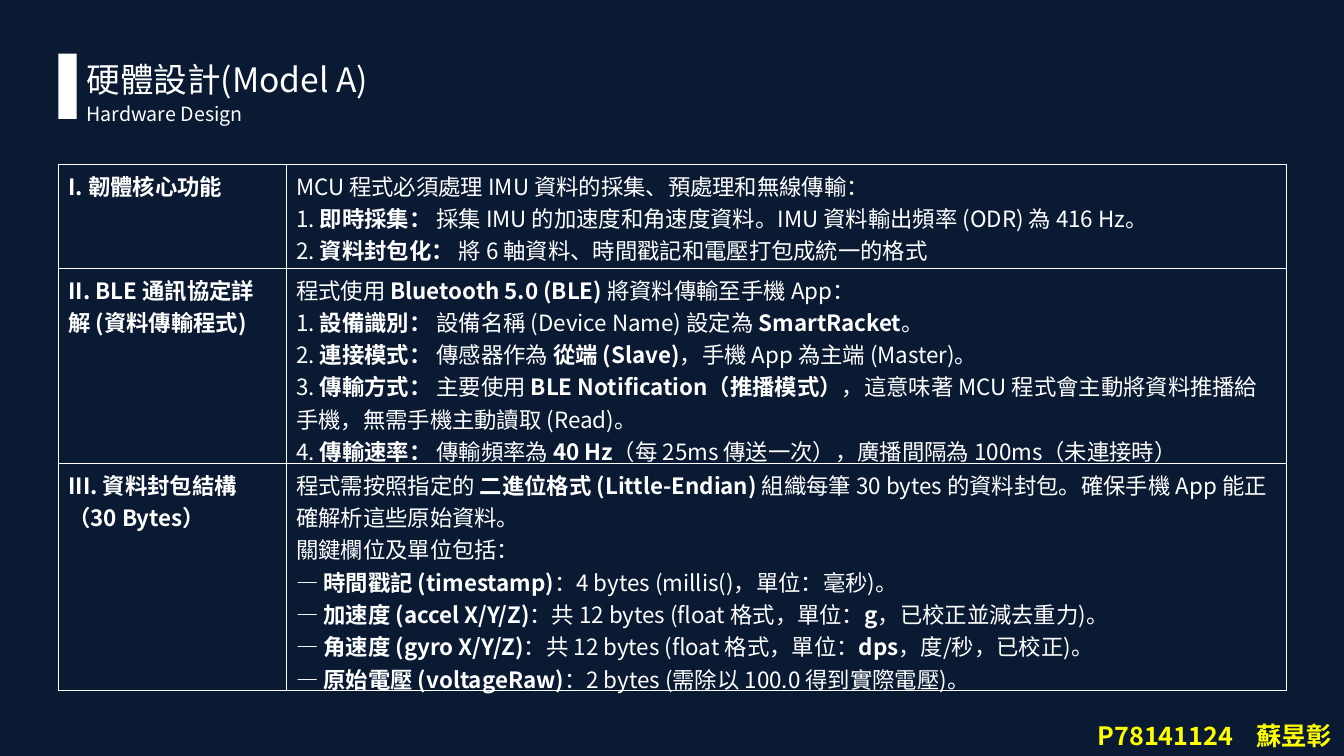
from dataclasses import dataclass

from lxml import etree
from pptx import Presentation
from pptx.dml.color import RGBColor
from pptx.enum.shapes import MSO_SHAPE
from pptx.enum.text import PP_ALIGN
from pptx.oxml.ns import qn
from pptx.util import Cm, Pt

RECT = MSO_SHAPE.RECTANGLE
LEFT, JUSTIFY = PP_ALIGN.LEFT, PP_ALIGN.JUSTIFY


@dataclass(frozen=True)
class Theme:
    back: str = "0A1A33"
    ink: str = "FFFFFF"
    mark: str = "FFFF00"
    font: str = "Noto Sans CJK SC"
    sign: str = "Noto Sans CJK TC"
    title: int = 24
    sub: int = 14
    body: int = 16
    foot: int = 18
    rule: int = 1


THEME = Theme()

# Asterisks enclose bold words.
ROWS = [
    (2.62, ["*I. 韌體核心功能*"], [
        "MCU 程式必須處理 IMU 資料的採集、預處理和無線傳輸：",
        "1. *即時採集：* 採集 IMU 的加速度和角速度資料。IMU 資料輸出頻率 (ODR) 為 416 Hz。",
        "2. *資料封包化：* 將 6 軸資料、時間戳記和電壓打包成統一的格式",
    ]),
    (4.92, ["*II. BLE 通訊協定詳解 (資料傳輸程式)*"], [
        "程式使用 *Bluetooth 5.0 (BLE)* 將資料傳輸至手機 App：",
        "1. *設備識別：* 設備名稱 (Device Name) 設定為 *SmartRacket*。",
        "2. *連接模式：* 傳感器作為 *從端 (Slave)*，手機 App 為主端 (Master)。",
        "3. *傳輸方式：* 主要使用 *BLE Notification（推播模式）*，這意味著 MCU "
        "程式會主動將資料推播給手機，無需手機主動讀取 (Read)。",
        "4. *傳輸速率：* 傳輸頻率為 *40 Hz*（每 25ms 傳送一次），廣播間隔為 100ms（未連接時）",
    ]),
    (5.71, ["*III. 資料封包結構（30 Bytes）*"], [
        "程式需按照指定的 *二進位格式 (Little-Endian)* 組織每筆 30 bytes 的資料封包。"
        "確保手機 App 能正確解析這些原始資料。",
        "關鍵欄位及單位包括：",
        "— *時間戳記 (timestamp)*：4 bytes (millis()，單位：毫秒)。",
        "— *加速度 (accel X/Y/Z)*：共 12 bytes (float 格式，單位：*g*，已校正並減去重力)。",
        "— *角速度 (gyro X/Y/Z)*：共 12 bytes (float 格式，單位：*dps*，度/秒，已校正)。",
        "— *原始電壓 (voltageRaw)*：2 bytes (需除以 100.0 得到實際電壓)。",
    ]),
]


def paint(fill, color):
    fill.solid()
    fill.fore_color.rgb = RGBColor.from_string(color)


def write(frame, lines, size, color=THEME.ink, face=THEME.font, align=LEFT):
    """Fill a text frame, one paragraph a line, switching bold at asterisks."""
    for i, line in enumerate(lines):
        para = frame.paragraphs[0] if i == 0 else frame.add_paragraph()
        para.alignment = align
        for j, words in enumerate(line.split("*")):
            if not words:
                continue
            run = para.add_run()
            run.text = words
            font = run.font
            font.size, font.bold, font.name = Pt(size), j % 2 == 1, face
            font.color.rgb = RGBColor.from_string(color)
            east = etree.SubElement(run._r.get_or_add_rPr(), qn("a:ea"))
            east.set("typeface", face)


def label(slide, x, y, w, h):
    """Add an empty wrapping text box and return its frame."""
    frame = slide.shapes.add_textbox(Cm(x), Cm(y), Cm(w), Cm(h)).text_frame
    frame.word_wrap = True
    return frame


def border(cell):
    props = cell._tc.get_or_add_tcPr()
    for i, side in enumerate(("lnL", "lnR", "lnT", "lnB")):
        line = etree.Element(qn("a:" + side), w=str(Pt(THEME.rule)))
        fill = etree.SubElement(line, qn("a:solidFill"))
        etree.SubElement(fill, qn("a:srgbClr"), val=THEME.ink)
        props.insert(i, line)


def header(slide, x, y, w, h):
    bar = 0.46
    block = slide.shapes.add_shape(RECT, Cm(x), Cm(y), Cm(bar), Cm(h))
    block.shadow.inherit = False
    paint(block.fill, THEME.ink)
    block.line.fill.background()
    left, wide = x + bar, w - bar
    write(label(slide, left, y, wide, 1.28), ["硬體設計(Model A)"],
          THEME.title, align=JUSTIFY)
    write(label(slide, left, y + 1.09, wide, 0.85), ["Hardware Design"],
          THEME.sub, align=JUSTIFY)


def grid(slide, x, y, w, h):
    side = 5.74
    table = slide.shapes.add_table(
        len(ROWS), 2, Cm(x), Cm(y), Cm(w), Cm(h)).table
    table.first_row = table.horz_banding = False
    for col, wide in zip(table.columns, (side, w - side)):
        col.width = Cm(wide)
    for row, (high, *texts) in zip(table.rows, ROWS):
        row.height = Cm(high)
        for cell, lines in zip(row.cells, texts):
            cell.fill.background()
            border(cell)
            write(cell.text_frame, lines, THEME.body)


def footer(slide, x, y, w, h):
    frame = label(slide, x, y, w, h)
    props = frame.paragraphs[0]._p.get_or_add_pPr()
    tabs = etree.SubElement(props, qn("a:tabLst"))
    etree.SubElement(tabs, qn("a:tab"), pos=str(Cm(4)), algn="l")
    write(frame, ["*P78141124\t蘇昱彰*"], THEME.foot, THEME.mark, THEME.sign)


def main():
    deck = Presentation()
    deck.slide_width, deck.slide_height = Cm(33.87), Cm(19.05)
    slide = deck.slides.add_slide(deck.slide_layouts[6])
    paint(slide.background.fill, THEME.back)
    edge = 1.47
    header(slide, edge, 1.35, 10.31, 1.65)
    grid(slide, edge, 4.14, 30.96, sum(row[0] for row in ROWS))
    footer(slide, 27.41, 18.03, 6.48, 1.02)
    deck.save("out.pptx")


if __name__ == "__main__":
    main()
